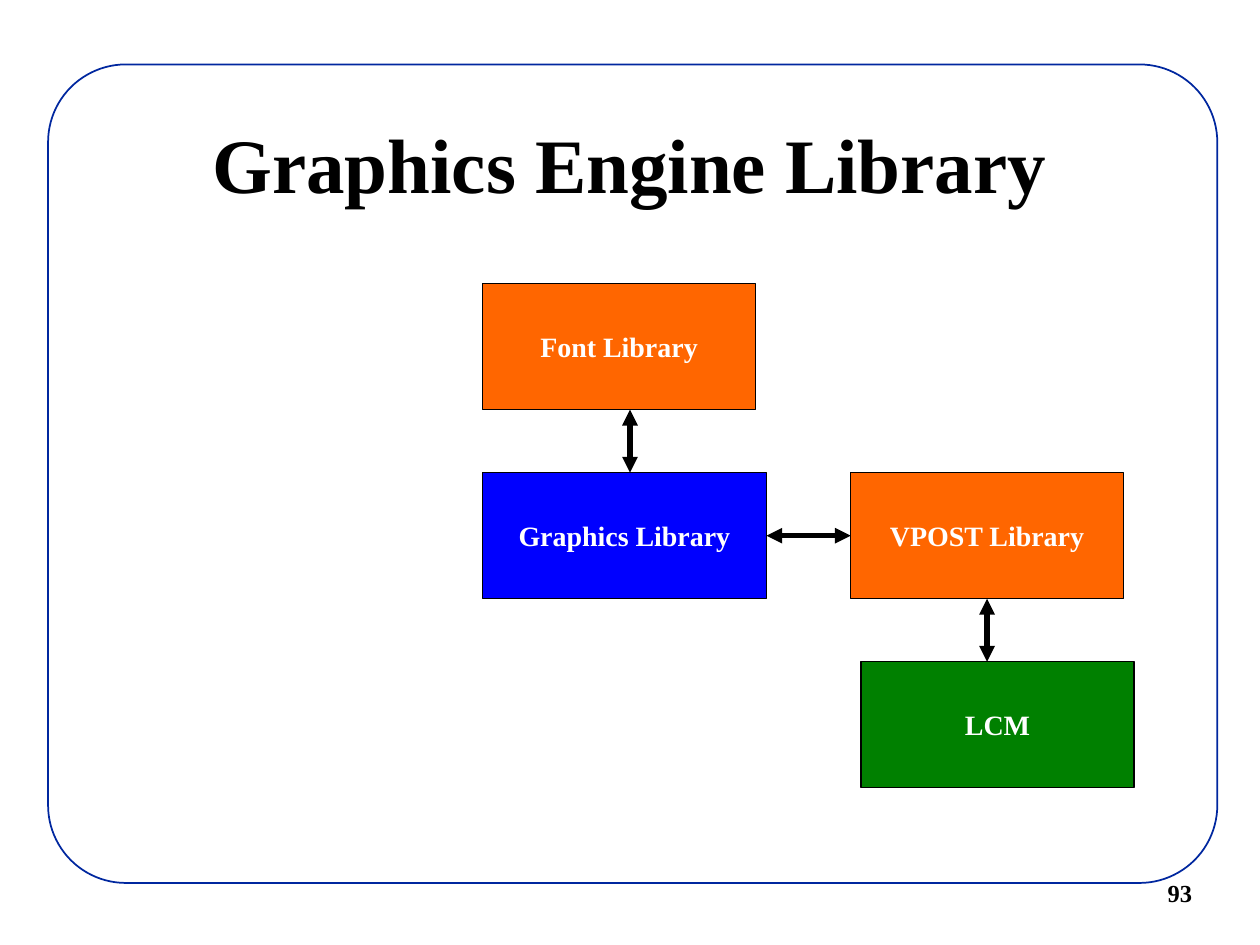
from typing import NamedTuple

from lxml.etree import SubElement
from pptx import Presentation
from pptx.dml.color import RGBColor
from pptx.enum.shapes import MSO_CONNECTOR, MSO_SHAPE
from pptx.enum.text import MSO_ANCHOR, PP_ALIGN
from pptx.oxml.ns import qn
from pptx.shapes.base import BaseShape
from pptx.slide import Slide
from pptx.util import Cm, Pt

BLACK = RGBColor(0x00, 0x00, 0x00)
WHITE = RGBColor(0xFF, 0xFF, 0xFF)
NAVY = RGBColor(0x00, 0x27, 0x9F)
ORANGE = RGBColor(0xFF, 0x66, 0x00)
BLUE = RGBColor(0x00, 0x00, 0xFF)
GREEN = RGBColor(0x00, 0x80, 0x00)

BLOCK_HEIGHT = 2.54
ROW_GAP = 1.27
ROW_TOPS = [5.72 + row * (BLOCK_HEIGHT + ROW_GAP) for row in range(3)]
GRAPHICS_LEFT, GRAPHICS_WIDTH = 9.73, 5.72
GRAPHICS_RIGHT = GRAPHICS_LEFT + GRAPHICS_WIDTH
VPOST_LEFT = 17.15
BLOCK_WIDTH = 5.5


class Block(NamedTuple):
    label: str
    left: float
    row: int
    width: float
    color: RGBColor


class Arrow(NamedTuple):
    start_x: float
    start_y: float
    end_x: float
    end_y: float


BLOCKS = [
    Block("Font Library", GRAPHICS_LEFT, 0, BLOCK_WIDTH, ORANGE),
    Block("Graphics Library", GRAPHICS_LEFT, 1, GRAPHICS_WIDTH, BLUE),
    Block("VPOST Library", VPOST_LEFT, 1, BLOCK_WIDTH, ORANGE),
    Block("LCM", 17.36, 2, BLOCK_WIDTH, GREEN),
]
MIDDLE_Y = ROW_TOPS[1] + BLOCK_HEIGHT / 2
ARROWS = [
    Arrow(12.7, ROW_TOPS[1] - ROW_GAP, 12.7, ROW_TOPS[1]),
    Arrow(GRAPHICS_RIGHT, MIDDLE_Y, VPOST_LEFT, MIDDLE_Y),
    Arrow(19.9, ROW_TOPS[2] - ROW_GAP, 19.9, ROW_TOPS[2]),
]


def write_text(box: BaseShape, text: str, size: int, color: RGBColor,
               align: PP_ALIGN = PP_ALIGN.CENTER,
               anchor: MSO_ANCHOR = MSO_ANCHOR.MIDDLE) -> None:
    """Fill a box with one bold paragraph."""
    frame = box.text_frame
    frame.word_wrap = True
    frame.vertical_anchor = anchor
    para = frame.paragraphs[0]
    para.text = text
    para.alignment = align
    para.font.name = "Times New Roman"
    para.font.size = Pt(size)
    para.font.bold = True
    para.font.color.rgb = color


def draw_shape(page: Slide, kind: MSO_SHAPE, left: float, top: float, width: float,
               height: float, fill: RGBColor, line: RGBColor, weight: float) -> BaseShape:
    """Add a filled and outlined preset shape without shadow."""
    shape = page.shapes.add_shape(kind, Cm(left), Cm(top), Cm(width), Cm(height))
    shape.shadow.inherit = False
    shape.fill.solid()
    shape.fill.fore_color.rgb = fill
    shape.line.color.rgb = line
    shape.line.width = Pt(weight)
    return shape


def draw_block(page: Slide, block: Block) -> None:
    """Draw one labelled library block."""
    box = draw_shape(page, MSO_SHAPE.RECTANGLE, block.left, ROW_TOPS[block.row],
                     block.width, BLOCK_HEIGHT, block.color, BLACK, 0.75)
    write_text(box, block.label, 16, WHITE)


def draw_arrow(page: Slide, arrow: Arrow) -> None:
    """Draw a thick line with a triangle at both ends."""
    connector = page.shapes.add_connector(
        MSO_CONNECTOR.STRAIGHT, *(Cm(length) for length in arrow))
    connector.line.color.rgb = BLACK
    connector.line.width = Pt(3)
    outline = connector.line._get_or_add_ln()
    for end in ("a:headEnd", "a:tailEnd"):
        SubElement(outline, qn(end), type="triangle")
    SubElement(connector._element.spPr, qn("a:effectLst"))


def main() -> None:
    """Build the library diagram slide."""
    deck = Presentation()
    deck.slide_width, deck.slide_height = Cm(25.4), Cm(19.05)
    page = deck.slides.add_slide(deck.slide_layouts[6])

    border = draw_shape(page, MSO_SHAPE.ROUNDED_RECTANGLE, 0.97, 1.3, 23.57, 16.5,
                        WHITE, NAVY, 1)
    border.adjustments[0] = 0.095
    number = page.shapes.add_textbox(Cm(23.29), Cm(17.58), Cm(2), Cm(0.84))
    write_text(number, "93", 14, BLACK, PP_ALIGN.LEFT, MSO_ANCHOR.TOP)
    title = page.shapes.add_textbox(Cm(1.9), Cm(1.7), Cm(21.6), Cm(3.18))
    write_text(title, "Graphics Engine Library", 44, BLACK)

    for block in BLOCKS:
        draw_block(page, block)
    for arrow in ARROWS:
        draw_arrow(page, arrow)

    deck.save("out.pptx")


if __name__ == "__main__":
    main()
